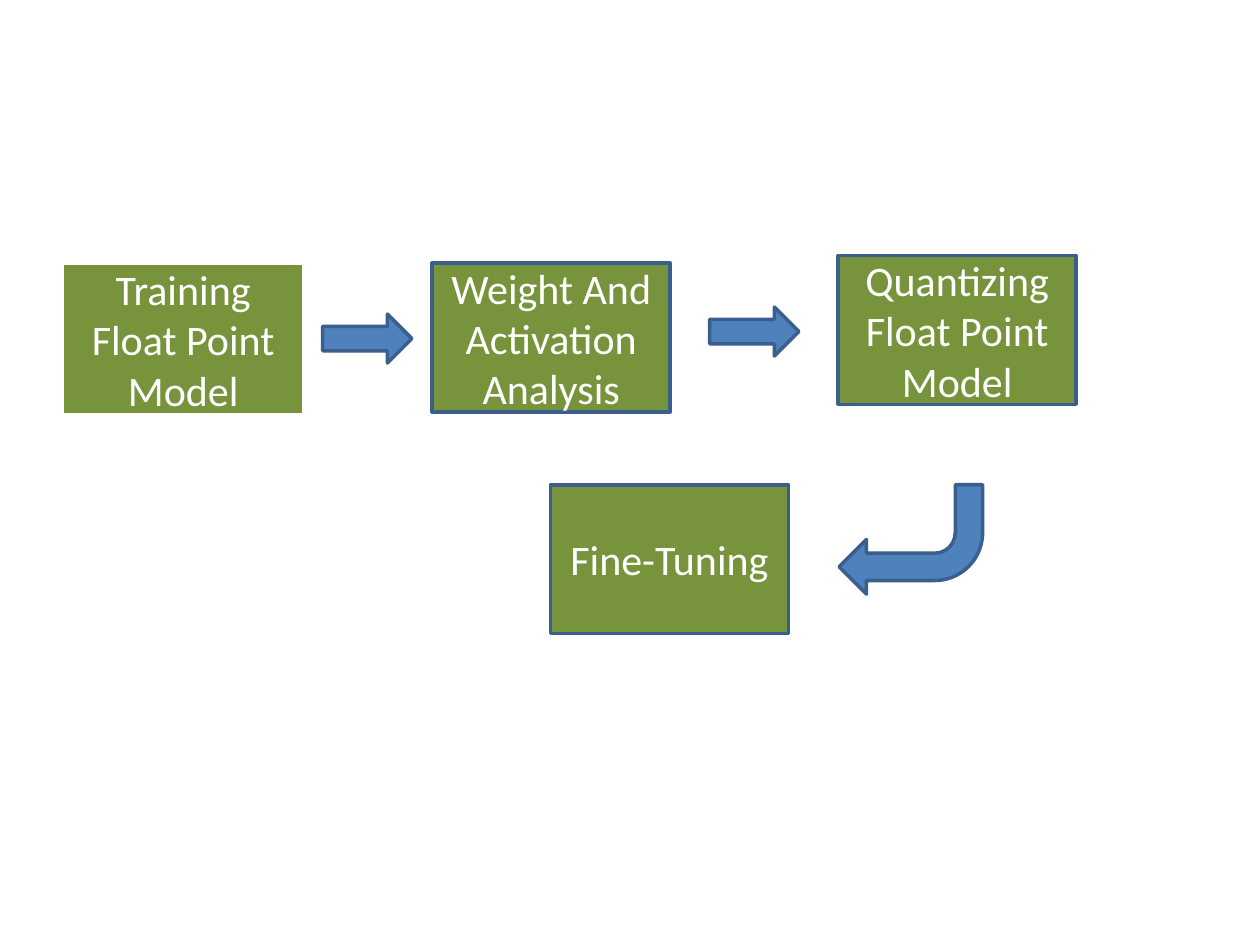
import pptx
import pptx.dml.color
import pptx.enum.shapes
import pptx.enum.text
import pptx.util

Pt = pptx.util.Pt
SHAPES = pptx.enum.shapes.MSO_SHAPE
GREEN = pptx.dml.color.RGBColor(0x77, 0x93, 0x3C)
BLUE = pptx.dml.color.RGBColor(0x4F, 0x81, 0xBD)
DARK_BLUE = pptx.dml.color.RGBColor(0x3A, 0x5F, 0x8C)
WHITE = pptx.dml.color.RGBColor(0xFF, 0xFF, 0xFF)

BOX_WIDTH, BOX_HEIGHT = 136, 85
ARROW_WIDTH, ARROW_HEIGHT = 51, 28

presentation = pptx.Presentation()
presentation.slide_width = Pt(720)
presentation.slide_height = Pt(540)
slide = presentation.slides.add_slide(presentation.slide_layouts[6])


def add_filled_shape(kind, left, top, width, height, fill, outlined=True):
    shape = slide.shapes.add_shape(kind, Pt(left), Pt(top), Pt(width), Pt(height))
    shape.shadow.inherit = False
    shape.fill.solid()
    shape.fill.fore_color.rgb = fill
    if outlined:
        shape.line.color.rgb = DARK_BLUE
        shape.line.width = Pt(2)
    else:
        shape.line.fill.background()
    return shape


# Process steps: text, left, top, outlined
steps = [
    ("Training Float Point Model", 36.7, 151.2, False),
    ("Weight And Activation Analysis", 247, 150.4, True),
    ("Quantizing Float Point Model", 479, 146, True),
    ("Fine-Tuning", 314.6, 277, True),
]
for text, left, top, outlined in steps:
    box = add_filled_shape(SHAPES.FLOWCHART_PROCESS, left, top,
                           BOX_WIDTH, BOX_HEIGHT, GREEN, outlined)
    frame = box.text_frame
    frame.word_wrap = True
    frame.vertical_anchor = pptx.enum.text.MSO_ANCHOR.MIDDLE
    paragraph = frame.paragraphs[0]
    paragraph.alignment = pptx.enum.text.PP_ALIGN.CENTER
    run = paragraph.add_run()
    run.text = text
    run.font.name = "Calibri"
    run.font.size = Pt(24)
    run.font.color.rgb = WHITE

# Arrows between the steps of the upper row
for left, top in [(184.4, 179.5), (405.5, 175.5)]:
    add_filled_shape(SHAPES.RIGHT_ARROW, left, top, ARROW_WIDTH, ARROW_HEIGHT, BLUE)

# Arrow turning down and back to the last step
return_arrow = add_filled_shape(SHAPES.BENT_ARROW, 479.5, 277, 82, 62.5, BLUE)
return_arrow.rotation = 180

presentation.save("out.pptx")
